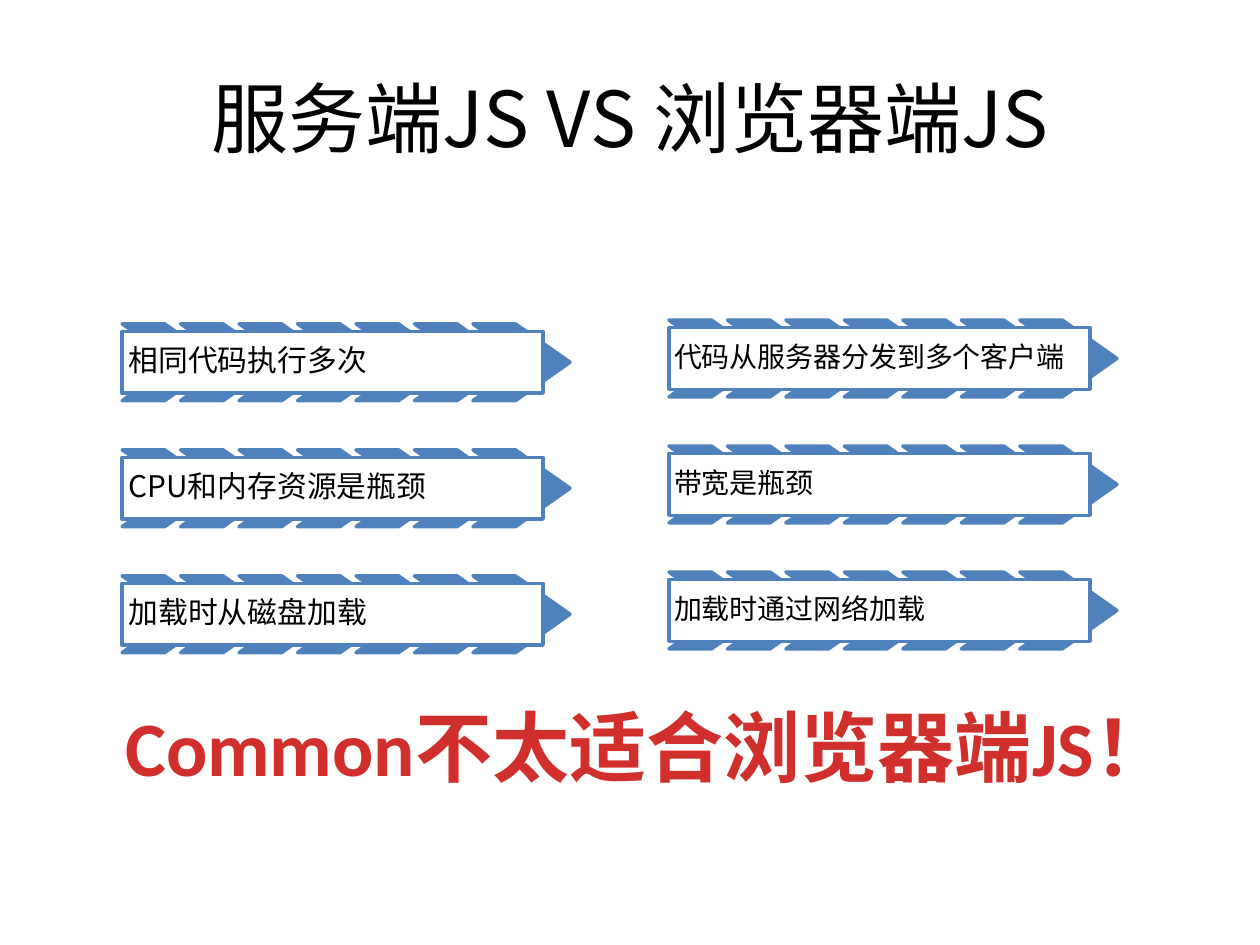
import pptx
import pptx.util
from pptx.dml.color import RGBColor
from pptx.enum.shapes import MSO_SHAPE
from pptx.enum.text import MSO_ANCHOR, MSO_AUTO_SIZE, PP_ALIGN
from pptx.oxml.ns import qn
from lxml import etree

WIDTH, HEIGHT = 10, 7.5
CJK = "Noto Sans CJK SC"
BLUE = "4F81BD"
ROW_PITCH = 1.0
CHEVRONS = 7
CHEVRON_PITCH = 0.464
CHEVRON_SIZE = (0.77, 0.61)
LABEL_SIZE = (3.34, 0.49)

# left, top, text size, inset, labels
COLUMNS = [
    (0.97, 2.57, 17, 0.05,
     ["相同代码执行多次", "CPU和内存资源是瓶颈", "加载时从磁盘加载"]),
    (5.31, 2.54, 16, 0.04,
     ["代码从服务器分发到多个客户端", "带宽是瓶颈", "加载时通过网络加载"]),
]


def color(hex_string):
    return RGBColor.from_string(hex_string)


def inches(*values):
    return [pptx.util.Inches(v) for v in values]


def add_run(p, text, size, rgb="000000", font=CJK, bold=False):
    """Add a run with its Latin font, and the CJK font for East Asian text."""
    r = p.add_run()
    r.text = text
    r.font.size = pptx.util.Pt(size)
    r.font.name = font
    r.font.bold = bold
    r.font.color.rgb = color(rgb)
    ea = etree.SubElement(r.font._element, qn("a:ea"))
    ea.set("typeface", CJK)


def add_heading(s, box, anchor, text, **style):
    """Add one centred 44-point paragraph in its own text box."""
    sp = s.shapes.add_textbox(*inches(*box))
    tf = sp.text_frame
    tf.word_wrap = True
    tf.vertical_anchor = anchor
    p = tf.paragraphs[0]
    p.alignment = PP_ALIGN.CENTER
    add_run(p, text, 44, **style)
    return tf


def add_block(group, kind, left, top, size, fill):
    sp = group.shapes.add_shape(kind, *inches(left, top, *size))
    sp.shadow.inherit = False
    sp.fill.solid()
    sp.fill.fore_color.rgb = color(fill)
    sp.line.color.rgb = color(BLUE)
    sp.line.width = pptx.util.Pt(2)
    return sp


def add_arrow_label(group, left, top, text, size, inset):
    """Add a row of chevrons with a white label lying over it."""
    for i in range(CHEVRONS):
        chevron = add_block(group, MSO_SHAPE.CHEVRON, left + i * CHEVRON_PITCH,
                            top, CHEVRON_SIZE, BLUE)
        chevron.adjustments[0] = 0.71
    label_top = top + (CHEVRON_SIZE[1] - LABEL_SIZE[1]) / 2
    label = add_block(group, MSO_SHAPE.RECTANGLE, left, label_top, LABEL_SIZE, "FFFFFF")
    tf = label.text_frame
    tf.word_wrap = True
    tf.vertical_anchor = MSO_ANCHOR.MIDDLE
    tf.margin_left, tf.margin_top, tf.margin_right, tf.margin_bottom = inches(*[inset] * 4)
    p = tf.paragraphs[0]
    p.alignment = PP_ALIGN.LEFT
    p.line_spacing = 0.9
    add_run(p, text, size)


def main():
    prs = pptx.Presentation()
    prs.slide_width, prs.slide_height = inches(WIDTH, HEIGHT)
    s = prs.slides.add_slide(prs.slide_layouts[6])

    add_heading(s, (0.05 * WIDTH, 0.04 * HEIGHT, 0.9 * WIDTH, HEIGHT / 6),
                MSO_ANCHOR.MIDDLE, "服务端JS VS 浏览器端JS")
    for left, top, size, inset, labels in COLUMNS:
        group = s.shapes.add_group_shape()
        for row, text in enumerate(labels):
            add_arrow_label(group, left, top + row * ROW_PITCH, text, size, inset)
    tf = add_heading(s, (0.85, 5.5, 8.59, 0.84), MSO_ANCHOR.TOP,
                     "Common不太适合浏览器端JS！", rgb="D02F2C", font="Calibri", bold=True)
    tf.auto_size = MSO_AUTO_SIZE.SHAPE_TO_FIT_TEXT

    prs.save("out.pptx")


if __name__ == "__main__":
    main()
